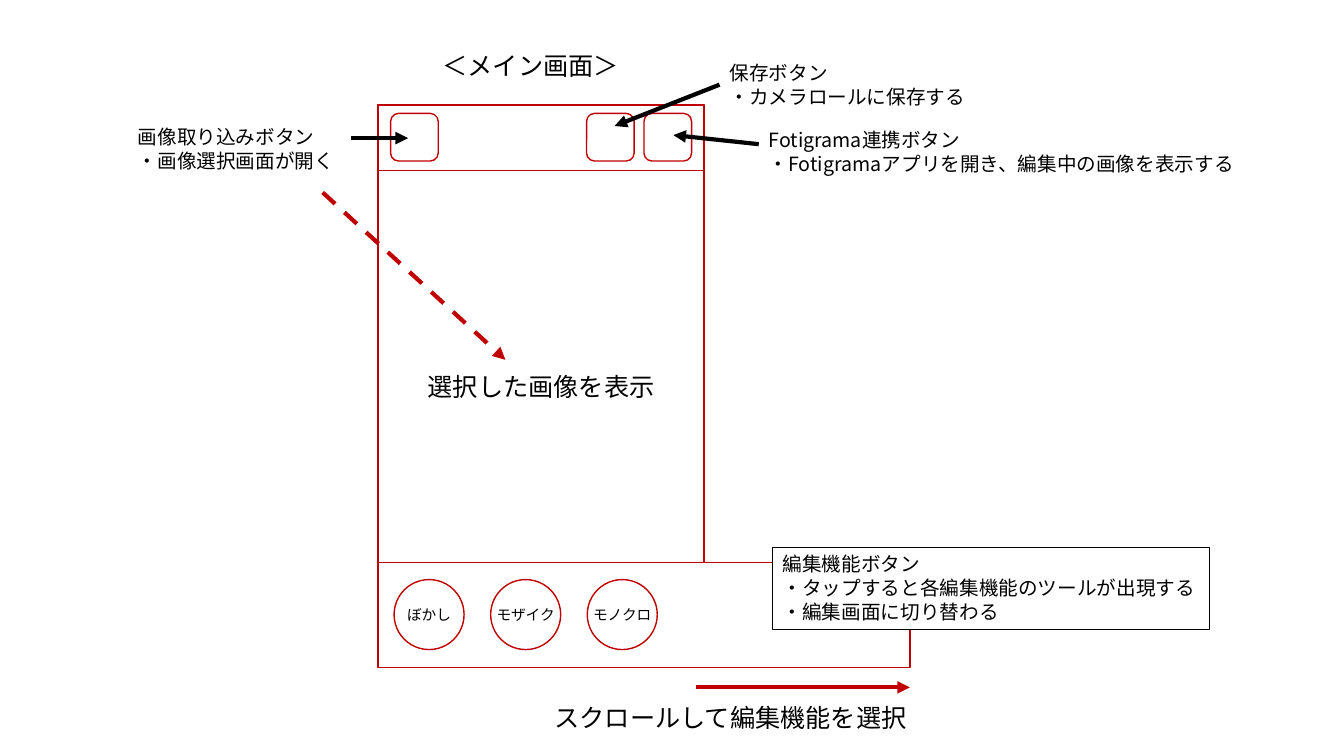
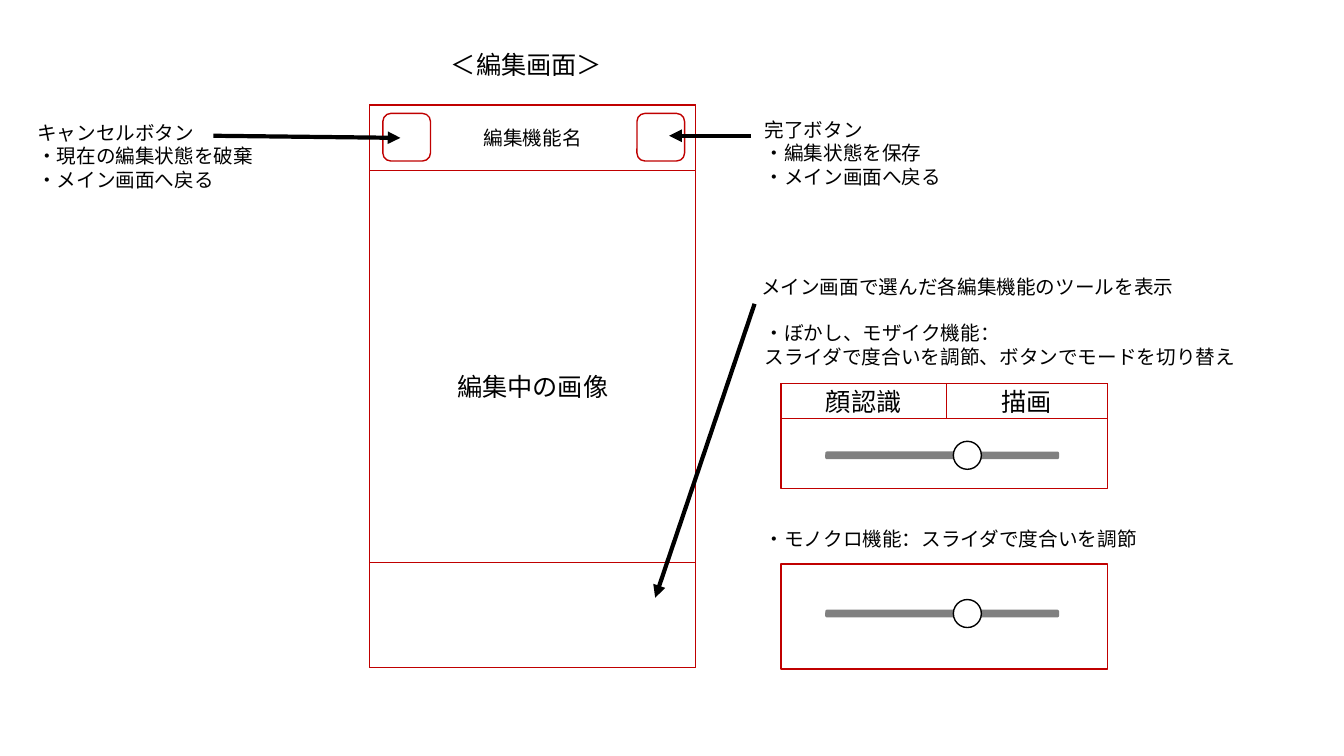
"""Builds two wireframe slides: a photo app's main screen and its edit screen."""
from dataclasses import dataclass

from lxml.etree import SubElement
from pptx import Presentation
from pptx.dml.color import RGBColor
from pptx.enum.dml import MSO_LINE
from pptx.enum.shapes import MSO_CONNECTOR, MSO_SHAPE as Shape
from pptx.enum.text import MSO_ANCHOR as Anchor, PP_ALIGN as Align
from pptx.oxml.ns import qn
from pptx.util import Pt


@dataclass(frozen=True)
class Theme:
    font: str = "Noto Sans CJK JP"
    black: str = "000000"
    white: str = "FFFFFF"
    red: str = "C00000"
    grey: str = "808080"
    large: float = 18
    note: float = 14
    small: float = 10.5
    thin: float = 0.75
    outline: float = 1
    arrow: float = 3


THEME = Theme()
PHONE_TOP, PHONE_WIDTH, PHONE_HEIGHT = 75, 233, 402
HEADER_HEIGHT, PANEL_HEIGHT = 47, 75
BUTTON, BUTTON_TOP = 34, 81
CIRCLE, CIRCLE_LEFT, CIRCLE_TOP, CIRCLE_PITCH = 50, 281.5, 414, 69
TITLE_WIDTH, TITLE_HEIGHT = 270, 40
PANEL_LEFT, TAB_HEIGHT = 558, 25
SLIDER_INSET, SLIDER_WIDTH, SLIDER_HEIGHT = 32, 166, 4.5
KNOB, KNOB_INSET = 20, 123

MAIN = {
    "title": ("＜メイン画面＞", 379, 27),
    "phone": {"left": 270, "header": "", "image": "選択した画像を表示", "footer_width": 380},
    "buttons": [279, 419, 460],
    "notes": [
        (91.4, 85.7, 164, ["画像取り込みボタン", "・画像選択画面が開く"]),
        (514, 40, 185, ["保存ボタン", "・カメラロールに保存する"]),
        (542, 88, 348.5, ["Fotigrama連携ボタン",
                          "・Fotigramaアプリを開き、編集中の画像を表示する"]),
    ],
    "arrows": [
        ((514, 60.5), (439, 90)),
        ((542, 103), (481, 96.5)),
        ((251, 98.7), (291.5, 98.7)),
    ],
}
FUNCTIONS = ["ぼかし", "モザイク", "モノクロ"]
SCROLL_NOTE = (389, 498, 272, ["スクロールして編集機能を選択"])
SCROLL_ARROW = ((497, 491), (650, 491))
IMPORT_ARROW = ((230.5, 137.5), (361, 257))
CALLOUT = (552, 391, 312, 58.5)
CALLOUT_LINES = ["編集機能ボタン", "・タップすると各編集機能のツールが出現する", "・編集画面に切り替わる"]

EDIT = {
    "title": ("＜編集画面＞", 376, 26),
    "phone": {"left": 264, "header": "編集機能名", "image": "編集中の画像",
              "footer_width": PHONE_WIDTH},
    "buttons": [273.5, 455],
    "notes": [
        (19.5, 82.5, 246, ["キャンセルボタン", "・現在の編集状態を破棄", "・メイン画面へ戻る"]),
        (539, 80.5, 245, ["完了ボタン", "・編集状態を保存", "・メイン画面へ戻る"]),
        (536.5, 193, 322, ["メイン画面で選んだ各編集機能のツールを表示"]),
        (539, 226, 356, ["・ぼかし、モザイク機能：",
                         "スライダで度合いを調節、ボタンでモードを切り替え"]),
        (539, 373, 285, ["・モノクロ機能：スライダで度合いを調節"]),
    ],
    "arrows": [
        ((152.5, 97), (286, 98.5)),
        ((536.5, 97), (478, 97)),
        ((539, 217), (468, 427)),
    ],
}
SLIDER_PANELS = [(274, 49), (403, 33)]
TABS = [("顔認識", 118), ("描画", 115)]


def color(value):
    return RGBColor.from_string(value)


def write(box, lines, size, align=Align.LEFT, anchor=Anchor.TOP, wrap=True):
    frame = box.text_frame
    frame.word_wrap = wrap
    frame.vertical_anchor = anchor
    for number, line in enumerate(lines):
        para = frame.add_paragraph() if number else frame.paragraphs[0]
        para.alignment = align
        span = para.add_run()
        span.text = line
        span.font.size = Pt(size)
        span.font.name = THEME.font
        span.font.color.rgb = color(THEME.black)
        SubElement(span.font._element, qn("a:ea"), typeface=THEME.font)


def draw(shapes, kind, place, fill=None, line=THEME.red, width=THEME.outline):
    box = shapes.add_shape(kind, *map(Pt, place))
    box.shadow.inherit = False
    if fill:
        box.fill.solid()
        box.fill.fore_color.rgb = color(fill)
    else:
        box.fill.background()
    if line:
        box.line.color.rgb = color(line)
        box.line.width = Pt(width)
    else:
        box.line.fill.background()
    return box


def center(box, text, size, wrap=True):
    if text:
        write(box, [text], size, Align.CENTER, Anchor.MIDDLE, wrap)


def add_note(page, left, top, width, lines, size=THEME.note):
    height = len(lines) * size * 1.2 + 7.2
    box = page.shapes.add_textbox(*map(Pt, (left, top, width, height)))
    write(box, lines, size)


def add_arrow(page, start, end, line=THEME.black, dashed=False):
    arrow = page.shapes.add_connector(MSO_CONNECTOR.STRAIGHT, *map(Pt, (*start, *end)))
    arrow.line.color.rgb = color(line)
    arrow.line.width = Pt(THEME.arrow)
    if dashed:
        arrow.line.dash_style = MSO_LINE.DASH
    SubElement(arrow.line._get_or_add_ln(), qn("a:tailEnd"), type="triangle")
    SubElement(arrow._element.spPr, qn("a:effectLst"))


def add_phone(page, left, header, image, footer_width):
    shapes = page.shapes.add_group_shape().shapes
    footer_top = PHONE_TOP + PHONE_HEIGHT - PANEL_HEIGHT
    parts = [
        ((left, PHONE_TOP, PHONE_WIDTH, PHONE_HEIGHT), image, THEME.large),
        ((left, PHONE_TOP, PHONE_WIDTH, HEADER_HEIGHT), header, THEME.note),
        ((left, footer_top, footer_width, PANEL_HEIGHT), "", THEME.note),
    ]
    for place, text, size in parts:
        center(draw(shapes, Shape.RECTANGLE, place, THEME.white), text, size)


def add_slider_panel(page, top, slider_offset):
    shapes = page.shapes.add_group_shape().shapes
    slider_top = top + slider_offset
    knob_top = slider_top + (SLIDER_HEIGHT - KNOB) / 2
    draw(shapes, Shape.RECTANGLE, (PANEL_LEFT, top, PHONE_WIDTH, PANEL_HEIGHT), THEME.white)
    draw(shapes, Shape.ROUNDED_RECTANGLE,
         (PANEL_LEFT + SLIDER_INSET, slider_top, SLIDER_WIDTH, SLIDER_HEIGHT),
         THEME.grey, THEME.grey)
    draw(shapes, Shape.OVAL, (PANEL_LEFT + KNOB_INSET, knob_top, KNOB, KNOB),
         THEME.white, THEME.black)


def add_screen(deck, screen):
    page = deck.slides.add_slide(deck.slide_layouts[6])
    add_phone(page, **screen["phone"])
    title, middle, top = screen["title"]
    place = (middle - TITLE_WIDTH / 2, top, TITLE_WIDTH, TITLE_HEIGHT)
    center(draw(page.shapes, Shape.RECTANGLE, place, THEME.white, None), title, THEME.large)
    for left in screen["buttons"]:
        draw(page.shapes, Shape.ROUNDED_RECTANGLE, (left, BUTTON_TOP, BUTTON, BUTTON))
    for note in screen["notes"]:
        add_note(page, *note)
    for start, end in screen["arrows"]:
        add_arrow(page, start, end)
    return page


def add_main_screen(deck):
    page = add_screen(deck, MAIN)
    for number, name in enumerate(FUNCTIONS):
        place = (CIRCLE_LEFT + number * CIRCLE_PITCH, CIRCLE_TOP, CIRCLE, CIRCLE)
        center(draw(page.shapes, Shape.OVAL, place), name, THEME.small, wrap=False)
    add_arrow(page, *SCROLL_ARROW, THEME.red)
    add_note(page, *SCROLL_NOTE, THEME.large)
    add_arrow(page, *IMPORT_ARROW, THEME.red, dashed=True)
    callout = draw(page.shapes, Shape.RECTANGLE, CALLOUT, THEME.white, THEME.black, THEME.thin)
    write(callout, CALLOUT_LINES, THEME.note)


def add_edit_screen(deck):
    page = add_screen(deck, EDIT)
    for top, slider_offset in SLIDER_PANELS:
        add_slider_panel(page, top, slider_offset)
    left, top = PANEL_LEFT, SLIDER_PANELS[0][0]
    for name, width in TABS:
        tab = draw(page.shapes, Shape.RECTANGLE, (left, top, width, TAB_HEIGHT))
        center(tab, name, THEME.large)
        left += width


def main():
    deck = Presentation()
    deck.slide_width, deck.slide_height = Pt(960), Pt(540)
    add_main_screen(deck)
    add_edit_screen(deck)
    deck.save("out.pptx")


if __name__ == "__main__":
    main()
